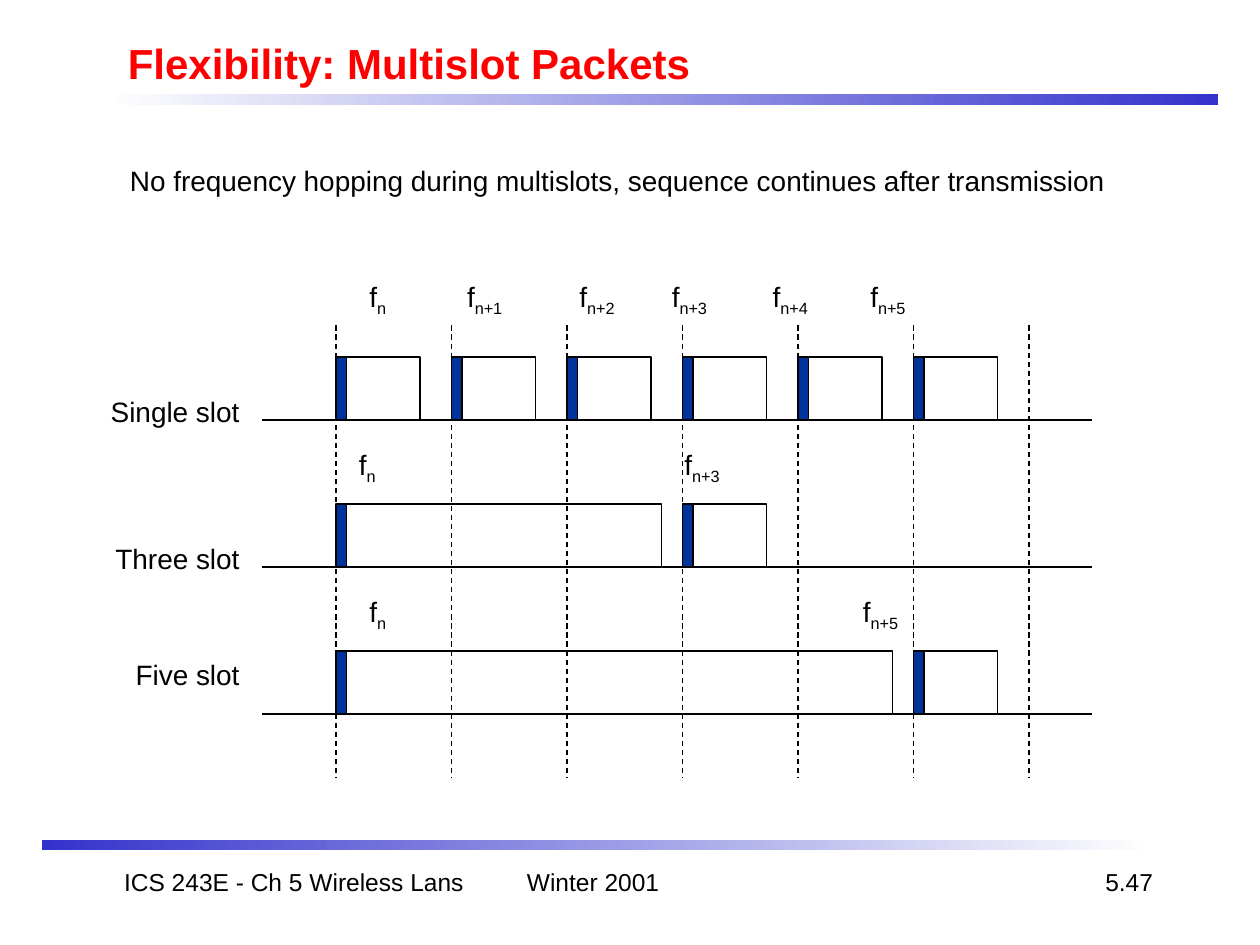
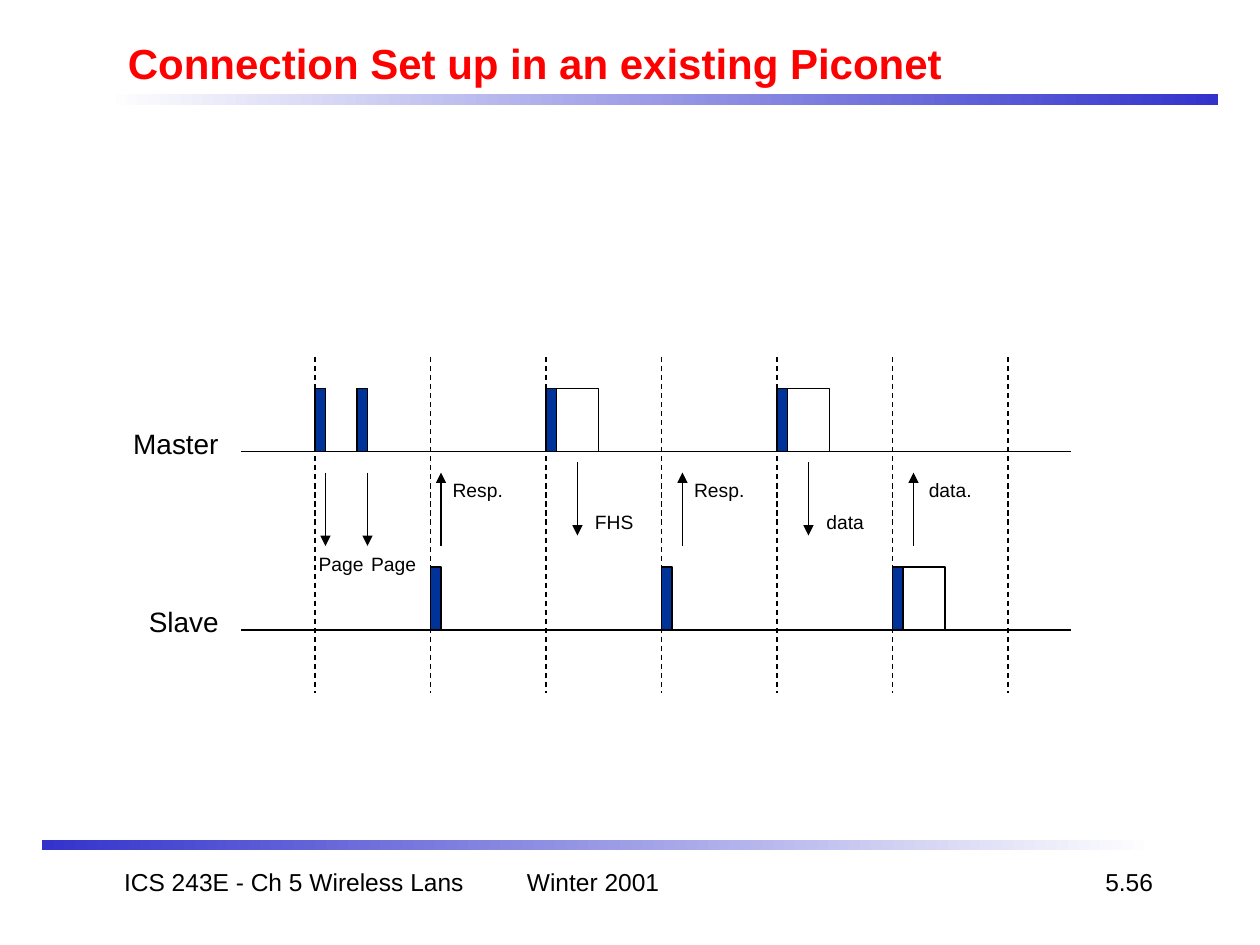
from lxml import etree
from pptx import Presentation
from pptx import util as u
from pptx.dml.color import RGBColor
from pptx.enum import dml, shapes, text
from pptx.oxml import ns

PX = 7620  # 120 px to the inch
RED, BLACK, NAVY, BLUE, WHITE = "FF0000", "000000", "003399", "3333CC", "FFFFFF"
LEFT, CENTER, RIGHT = text.PP_ALIGN.LEFT, text.PP_ALIGN.CENTER, text.PP_ALIGN.RIGHT
SLOT, SLOT_COUNT = 110, 6
HEADER_WIDTH, PACKET_HEIGHT = 10, 60

rgb = RGBColor.from_string


def write(slide, words, x, y, w, h, size, align=LEFT, color=BLACK):
    """Add a text box of one paragraph and return its text frame."""
    frame = slide.shapes.add_textbox(x * PX, y * PX, w * PX, h * PX).text_frame
    frame.word_wrap = True
    paragraph = frame.paragraphs[0]
    paragraph.text = words
    paragraph.alignment = align
    paragraph.font.name = "Arial"
    paragraph.font.size = u.Pt(size)
    paragraph.font.color.rgb = rgb(color)
    return frame


def draw_line(slide, x1, y1, x2, y2, dashed=False, arrow=False):
    line = slide.shapes.add_connector(
        shapes.MSO_CONNECTOR.STRAIGHT, x1 * PX, y1 * PX, x2 * PX, y2 * PX)
    line.line.color.rgb = rgb(BLACK)
    line.line.width = u.Pt(0.75)
    if dashed:
        line.line.dash_style = dml.MSO_LINE.DASH
    if arrow:
        etree.SubElement(line.line._get_or_add_ln(), ns.qn("a:tailEnd"), type="triangle")
    etree.SubElement(line._element.spPr, ns.qn("a:effectLst"))


# Row labels: words, y. Packets: x from the first slot, y, payload width.
timelines = [
    dict(
        title="Flexibility: Multislot Packets", number="5.47",
        first_slot=320, grid=(310, 740), baselines=(400, 540, 680),
        label_box=(70, 170),
        row_labels=[("Single slot", 370), ("Three slot", 510), ("Five slot", 620)],
        packets=[(i * SLOT, 340, 70) for i in range(SLOT_COUNT)] + [
            (0, 480, 300), (3 * SLOT, 480, 70),
            (0, 620, 520), (5 * SLOT, 620, 70)],
    ),
    dict(
        title="Connection Set up in an existing Piconet", number="5.56",
        first_slot=300, grid=(340, 660), baselines=(430, 600),
        label_box=(100, 120),
        row_labels=[("Master", 400), ("Slave", 570)],
        packets=[
            (0, 370, 0), (40, 370, 0), (2 * SLOT, 370, 40), (4 * SLOT, 370, 40),
            (SLOT, 540, 0), (3 * SLOT, 540, 0), (5 * SLOT, 540, 40)],
    ),
]

prs = Presentation()
prs.slide_width, prs.slide_height = 1200 * PX, 900 * PX

for timeline in timelines:
    slide = prs.slides.add_slide(prs.slide_layouts[6])

    for x, y, start, end in ((100, 90, WHITE, BLUE), (40, 800, BLUE, WHITE)):
        band = slide.shapes.add_shape(
            shapes.MSO_SHAPE.RECTANGLE, x * PX, y * PX, 1060 * PX, 10 * PX)
        band.shadow.inherit = False
        band.line.fill.background()
        band.fill.gradient()
        band.fill.gradient_angle = 0
        for stop, position, color in zip(band.fill.gradient_stops, (0, 1), (start, end)):
            stop.position = position
            stop.color.rgb = rgb(color)

    write(slide, "Winter 2001", 490, 820, 250, 60, 14)
    write(slide, "ICS 243E - Ch 5 Wireless Lans", 90, 820, 380, 60, 14, CENTER)
    write(slide, timeline["number"], 860, 820, 250, 60, 14, RIGHT)
    title = write(slide, timeline["title"], 110, 30, 1020, 60, 24, color=RED)
    title.vertical_anchor = text.MSO_ANCHOR.MIDDLE
    title.paragraphs[0].font.bold = True

    first_slot = timeline["first_slot"]
    for y in timeline["baselines"]:
        draw_line(slide, first_slot - 70, y, first_slot + 720, y)
    top, bottom = timeline["grid"]
    for i in range(SLOT_COUNT + 1):
        x = first_slot + i * SLOT
        draw_line(slide, x, top, x, bottom, dashed=True)

    label_x, label_width = timeline["label_box"]
    for words, y in timeline["row_labels"]:
        write(slide, words, label_x, y, label_width, 44, 16, RIGHT)

    for offset, y, payload in timeline["packets"]:
        x = first_slot + offset
        for part_x, width, fill in ((x, HEADER_WIDTH, NAVY), (x + HEADER_WIDTH, payload, None)):
            if not width:
                continue
            part = slide.shapes.add_shape(
                shapes.MSO_SHAPE.RECTANGLE, part_x * PX, y * PX, width * PX, PACKET_HEIGHT * PX)
            part.shadow.inherit = False
            part.line.color.rgb = rgb(BLACK)
            part.line.width = u.Pt(0.75)
            if fill:
                part.fill.solid()
                part.fill.fore_color.rgb = rgb(fill)
            else:
                part.fill.background()

multislot, piconet = prs.slides

note = write(multislot, "No frequency hopping during multislots, sequence continues after transmission",
             112, 150, 953, 44, 16)
note.word_wrap = False

# Hop frequencies of each row: subscript and its tab stop
frequency_rows = [
    (340, 260, [("n", 0), ("n+1", 93), ("n+2", 200), ("n+3", 288), ("n+4", 384), ("n+5", 477)]),
    (330, 420, [("n", 0), ("n+3", 310)]),
    (340, 560, [("n", 0), ("n+5", 470)]),
]
for x, y, frequencies in frequency_rows:
    paragraph = write(multislot, "", x, y, 640, 49, 16).paragraphs[0]
    tabs = etree.Element(ns.qn("a:tabLst"))
    for subscript, stop in frequencies:
        if stop:
            etree.SubElement(tabs, ns.qn("a:tab"), pos=str(stop * PX), algn="l")
        paragraph.add_run().text = "\tf" if stop else "f"
        index = paragraph.add_run()
        index.text = subscript
        index._r.get_or_add_rPr().set("baseline", "-25000")
    paragraph._p.get_or_add_pPr().insert(0, tabs)

# Messages: words, arrow x, arrow start and end y, label x, y and width
messages = [
    ("Page", 310, 450, 520, 290, 520, 70),
    ("Page", 350, 450, 520, 340, 520, 70),
    ("Resp.", 420, 520, 450, 410, 450, 90),
    ("FHS", 550, 440, 510, 550, 480, 70),
    ("Resp.", 650, 520, 450, 640, 450, 90),
    ("data", 770, 440, 510, 770, 480, 70),
    ("data.", 870, 520, 450, 860, 450, 90),
]
for words, arrow_x, start, end, x, y, width in messages:
    draw_line(piconet, arrow_x, start, arrow_x, end, arrow=True)
    write(piconet, words, x, y, width, 35, 11, CENTER)

prs.save("out.pptx")
